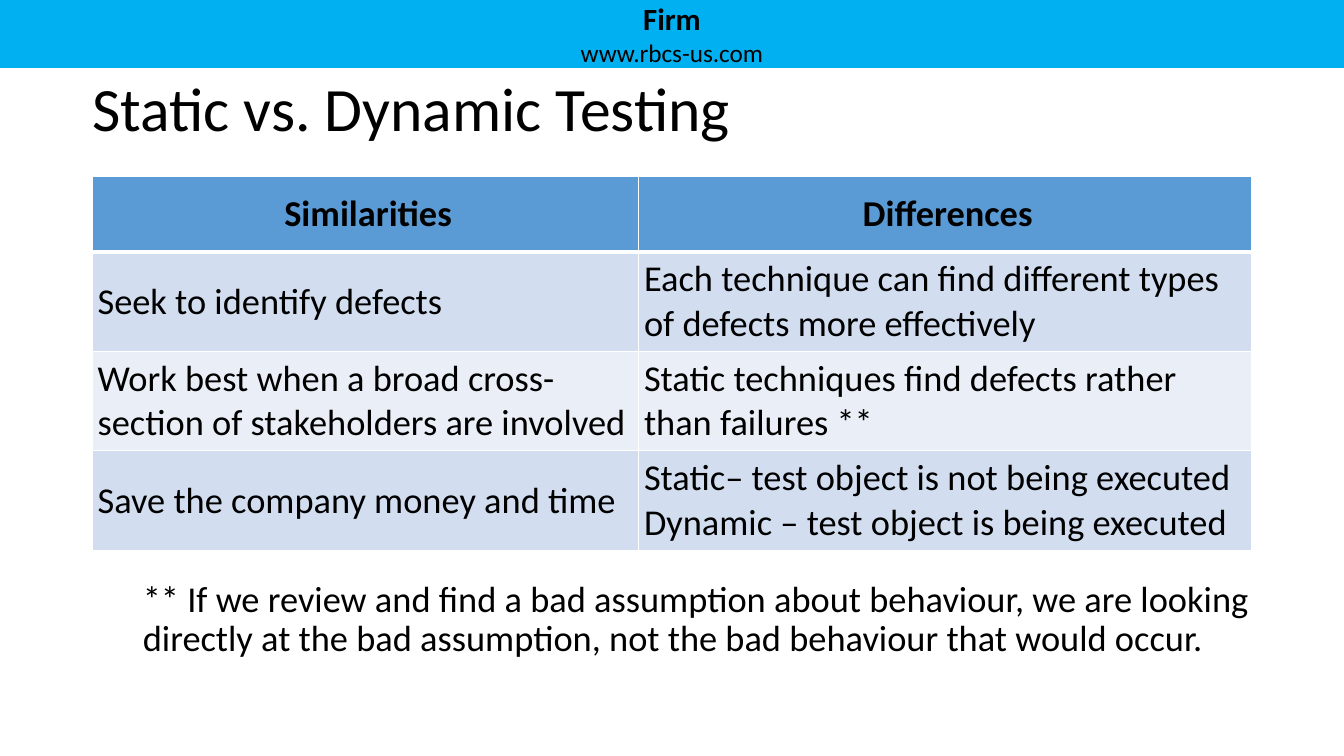
from dataclasses import dataclass

from lxml.etree import SubElement
from pptx import Presentation
from pptx.dml.color import RGBColor
from pptx.enum.shapes import MSO_SHAPE
from pptx.enum.text import MSO_ANCHOR, MSO_AUTO_SIZE, PP_ALIGN
from pptx.oxml.ns import qn
from pptx.util import Cm, Pt


@dataclass(frozen=True)
class Theme:
    font: str = "Calibri"
    ink: str = "000000"
    banner: str = "00B0F0"
    header: str = "5B9BD5"
    bands: tuple = ("D2DEEF", "EAEFF7")
    rule: str = "FFFFFF"
    title_size: int = 44
    text_size: int = 26
    brand_size: int = 22
    address_size: int = 18


def apply(target, values):
    for name, value in values.items():
        setattr(target, name, value)


class TestingSlide:
    def __init__(self, deck, theme):
        self.theme = theme
        self.slide = deck.slides.add_slide(deck.slide_layouts[1])

    def place(self, target, left, top, width, height):
        apply(target, {"left": Cm(left), "top": Cm(top),
                       "width": Cm(width), "height": Cm(height)})

    def frame(self, shape, anchor, left=0, top=0, right=0, bottom=0):
        apply(shape.text_frame, {
            "word_wrap": True, "auto_size": MSO_AUTO_SIZE.NONE,
            "vertical_anchor": anchor,
            "margin_left": Cm(left), "margin_top": Cm(top),
            "margin_right": Cm(right), "margin_bottom": Cm(bottom)})
        return shape.text_frame

    def style(self, paragraph, size, align=PP_ALIGN.LEFT, bold=False, spacing=1.0):
        apply(paragraph, {"alignment": align, "line_spacing": spacing, "space_before": Pt(0)})
        for run in paragraph.runs:
            apply(run.font, {"name": self.theme.font, "size": Pt(size), "bold": bold})
            run.font.color.rgb = RGBColor.from_string(self.theme.ink)

    def banner(self, brand, address, width, height):
        band = self.slide.shapes.add_shape(MSO_SHAPE.RECTANGLE, 0, 0, Cm(width), Cm(height))
        band.shadow.inherit = False
        band.fill.solid()
        band.fill.fore_color.rgb = RGBColor.from_string(self.theme.banner)
        band.line.fill.background()
        text = self.frame(band, MSO_ANCHOR.TOP, left=0.25, right=0.25)
        text.text = f"{brand}\n{address}"
        brand_line, address_line = text.paragraphs
        self.style(brand_line, self.theme.brand_size, PP_ALIGN.CENTER, bold=True)
        self.style(address_line, self.theme.address_size, PP_ALIGN.CENTER)

    def title(self, wording, *box):
        heading = self.slide.shapes.title
        self.place(heading, *box)
        text = self.frame(heading, MSO_ANCHOR.MIDDLE, top=0.13)
        text.text = wording
        self.style(text.paragraphs[0], self.theme.title_size, spacing=0.9)

    def footnote(self, wording, indent, *box):
        note = self.slide.placeholders[1]
        self.place(note, *box)
        text = self.frame(note, MSO_ANCHOR.TOP)
        text.text = wording
        paragraph = text.paragraphs[0]
        paragraph.level = 1
        self.style(paragraph, self.theme.text_size, spacing=0.9)
        properties = paragraph._p.get_or_add_pPr()
        properties.set("marL", str(Cm(indent)))
        properties.set("indent", "0")
        SubElement(properties, qn("a:buNone"))

    def borders(self, cell, widths):
        properties = cell._tc.get_or_add_tcPr()
        for side, width in widths.items():
            line = SubElement(properties, qn(f"a:ln{side}"), w=str(Pt(width)))
            fill = SubElement(line, qn("a:solidFill"))
            SubElement(fill, qn("a:srgbClr"), val=self.theme.rule)

    def comparison(self, rows, left, top, widths, heights):
        table = self.slide.shapes.add_table(
            len(rows), len(widths), Cm(left), Cm(top),
            Cm(sum(widths)), Cm(sum(heights))).table
        for column, width in zip(table.columns, widths):
            column.width = Cm(width)
        for index, (row, height, wordings) in enumerate(zip(table.rows, heights, rows)):
            row.height = Cm(height)
            is_header = index == 0
            shade = self.theme.header if is_header else self.theme.bands[(index - 1) % 2]
            rules = {"L": 1, "R": 1, "T": 3 if index == 1 else 1, "B": 3 if is_header else 1}
            for cell, wording in zip(row.cells, wordings):
                cell.text = wording
                apply(cell, {"vertical_anchor": MSO_ANCHOR.MIDDLE,
                             "margin_left": Cm(0.13), "margin_top": Cm(0.13),
                             "margin_right": 0, "margin_bottom": Cm(0.13)})
                self.borders(cell, rules)
                cell.fill.solid()
                cell.fill.fore_color.rgb = RGBColor.from_string(shade)
                for paragraph in cell.text_frame.paragraphs:
                    self.style(paragraph, self.theme.text_size,
                               PP_ALIGN.CENTER if is_header else PP_ALIGN.LEFT, is_header)


def main():
    deck = Presentation()
    apply(deck, {"slide_width": Cm(33.87), "slide_height": Cm(19.05)})
    page = TestingSlide(deck, Theme())
    margin, content_width = 2.33, 29.21

    page.banner("Firm", "www.rbcs-us.com", 33.87, 1.71)
    page.title("Static vs. Dynamic Testing", margin, 1.48, content_width, 2.54)
    page.comparison(
        [("Similarities", "Differences"),
         ("Seek to identify defects",
          "Each technique can find different types of defects more effectively"),
         ("Work best when a broad cross-section of stakeholders are involved",
          "Static techniques find defects rather than failures **"),
         ("Save the company money and time",
          "Static– test object is not being executed\n"
          "Dynamic – test object is being executed")],
        margin, 4.45, (13.77, 15.44), (1.9, 2.5, 2.5, 2.5))
    page.footnote(
        "** If we review and find a bad assumption about behaviour, we are looking "
        "directly at the bad assumption, not the bad behaviour that would occur.",
        1.27, margin, 14.63, content_width, 4)
    deck.save("out.pptx")


if __name__ == "__main__":
    main()
